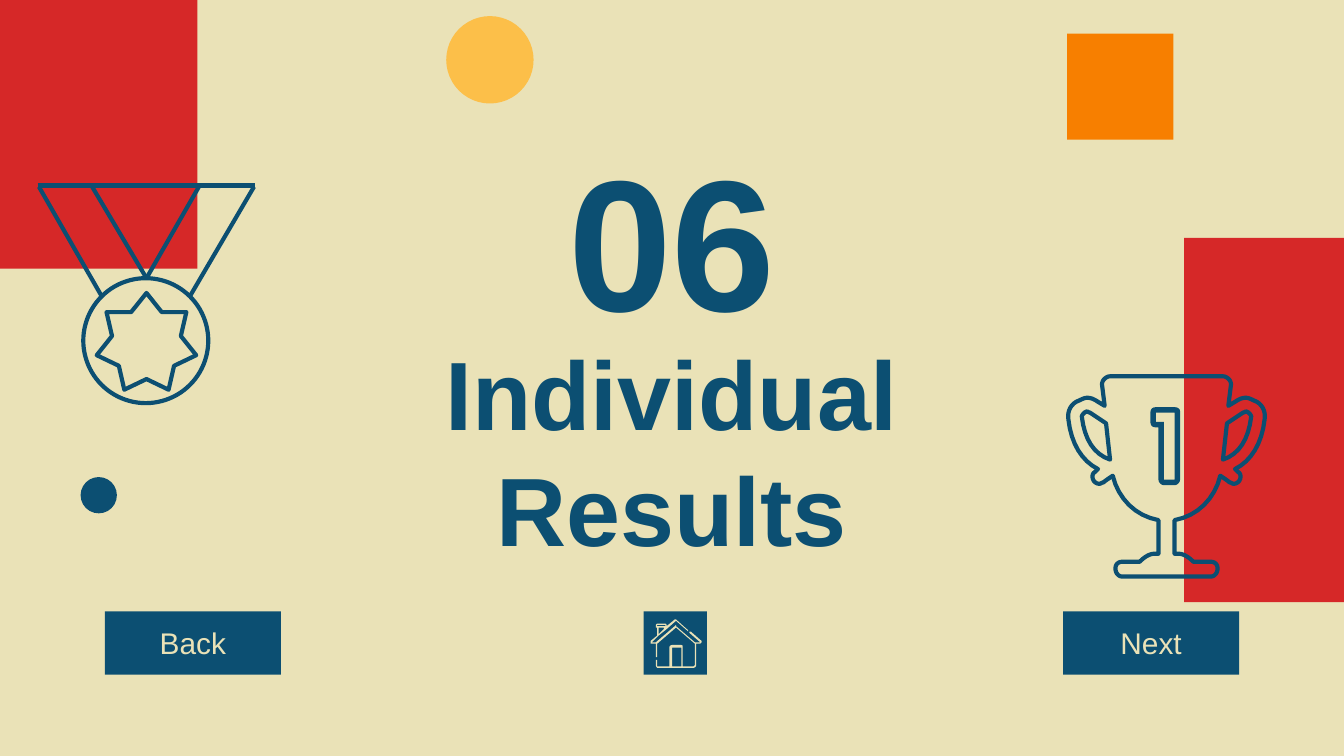
from pptx import Presentation
from pptx.dml.color import RGBColor
from pptx.enum.shapes import MSO_CONNECTOR, MSO_SHAPE
from pptx.enum.text import MSO_ANCHOR, PP_ALIGN
from pptx.oxml.ns import qn
from pptx.util import Inches, Pt
from lxml.etree import SubElement

NAVY, CREAM, RED, ORANGE, YELLOW = "0C4F72", "EAE2B7", "D62828", "F77F00", "FCBF49"
RECTANGLE, OVAL = MSO_SHAPE.RECTANGLE, MSO_SHAPE.OVAL

TITLES = [
    ("Individual Results", (2.53, 2.93, 4.94, 0.83), 52),
    ("06", (2.88, 1.15, 4.24, 1.22), 100),
]
DECORATIONS = [
    (RECTANGLE, (8.81, 1.77, 1.19, 2.71), RED),
    (RECTANGLE, (0, -0.03, 1.47, 2.03), RED),
    (RECTANGLE, (7.94, 0.25, 0.79, 0.79), ORANGE),
    (OVAL, (0.6, 3.55, 0.27, 0.27), NAVY),
    (OVAL, (3.32, 0.12, 0.65, 0.65), YELLOW),
]
BUTTONS = [("Back", 0.78, 1.31), ("", 4.79, 0.47), ("Next", 7.91, 1.31)]
BUTTON_TOP, BUTTON_HEIGHT = 4.55, 0.47

RIBBONS = [
    ((0.76, 2.21), (0.29, 1.39)),
    ((1.09, 2.07), (0.68, 1.38)),
    ((1.09, 2.07), (1.48, 1.39)),
    ((1.41, 2.21), (1.89, 1.39)),
    ((0.28, 1.38), (1.9, 1.38)),
]

TROPHY_CENTER = 8.68
TROPHY_SIDE = [
    (8.26, 2.8), (8.23, 2.8, 8.2, 2.83, 8.2, 2.86), (8.22, 3.02), (8.17, 2.99),
    (8.14, 2.97, 8.12, 2.96, 8.09, 2.96), (8.07, 2.96, 8.05, 2.97, 8.03, 2.98),
    (7.97, 3, 7.94, 3.06, 7.95, 3.12), (7.97, 3.3, 8.05, 3.43, 8.17, 3.49),
    (8.15, 3.51), (8.11, 3.53, 8.13, 3.6, 8.18, 3.6),
    (8.19, 3.6, 8.2, 3.59, 8.21, 3.59), (8.22, 3.58, 8.25, 3.56, 8.28, 3.54),
    (8.32, 3.71, 8.45, 3.84, 8.62, 3.87), (8.62, 4.12), (8.59, 4.12),
    (8.55, 4.12, 8.51, 4.15, 8.48, 4.18), (8.35, 4.18),
    (8.32, 4.18, 8.3, 4.2, 8.3, 4.23), (8.3, 4.26, 8.32, 4.29, 8.35, 4.29),
]
TROPHY_HANDLE = [
    (8.09, 3.06), (8.09, 3.06, 8.1, 3.07, 8.11, 3.07), (8.23, 3.15), (8.26, 3.42),
    (8.14, 3.38, 8.07, 3.27, 8.05, 3.1), (8.05, 3.09, 8.06, 3.08, 8.07, 3.07),
]
DIGIT_ONE = [
    [(8.74, 3.07), (8.74, 3.57), (8.66, 3.57), (8.66, 3.14), (8.6, 3.14), (8.6, 3.07)],
    [(8.6, 3.03), (8.57, 3.03, 8.56, 3.05, 8.56, 3.07), (8.56, 3.14),
     (8.56, 3.16, 8.57, 3.18, 8.6, 3.18), (8.62, 3.18), (8.62, 3.57),
     (8.62, 3.59, 8.64, 3.61, 8.66, 3.61), (8.74, 3.61),
     (8.76, 3.61, 8.78, 3.59, 8.78, 3.57), (8.78, 3.06),
     (8.78, 3.04, 8.76, 3.03, 8.74, 3.03)],
]
HOUSE = [
    [(4.95, 4.65), (4.95, 4.66), (4.89, 4.66), (4.89, 4.65)],
    [(4.94, 4.67), (4.94, 4.68), (4.9, 4.72), (4.9, 4.67)],
    [(5.07, 4.82), (5.07, 4.96), (5, 4.96), (5, 4.82)],
    [(5.03, 4.61), (5.02, 4.61), (4.96, 4.66), (4.96, 4.65), (4.95, 4.64),
     (4.89, 4.64), (4.88, 4.65), (4.88, 4.67), (4.89, 4.67), (4.89, 4.73),
     (4.84, 4.77), (4.84, 4.79), (4.88, 4.79), (4.88, 4.89), (4.89, 4.89),
     (4.89, 4.79), (5.03, 4.67), (5.17, 4.79), (5.17, 4.95), (5.16, 4.96),
     (5.08, 4.96), (5.08, 4.82), (5.08, 4.81, 5.08, 4.8, 5.07, 4.8), (5, 4.8),
     (4.99, 4.8, 4.98, 4.81, 4.98, 4.82), (4.98, 4.96), (4.89, 4.96), (4.89, 4.91),
     (4.88, 4.91), (4.88, 4.95), (4.88, 4.96, 4.89, 4.97, 4.89, 4.97), (5.16, 4.97),
     (5.17, 4.97, 5.18, 4.96, 5.18, 4.95), (5.18, 4.79), (5.21, 4.79), (5.22, 4.78),
     (5.22, 4.77), (5.14, 4.7), (5.13, 4.7), (5.13, 4.71), (5.21, 4.78), (5.17, 4.78),
     (5.03, 4.66), (5.03, 4.65), (5.02, 4.66), (4.88, 4.78), (4.85, 4.78),
     (4.9, 4.73), (4.95, 4.69), (5.03, 4.62), (5.11, 4.69), (5.12, 4.7), (5.12, 4.69)],
]


def color(value):
    return RGBColor.from_string(value)


def style(shape, fill=None, line=None):
    shape.shadow.inherit = False
    if fill:
        shape.fill.solid()
        shape.fill.fore_color.rgb = color(fill)
    else:
        shape.fill.background()
    if line:
        shape.line.color.rgb = color(line)
        shape.line.width = Pt(2.25)
    else:
        shape.line.fill.background()
    return shape


def add_shape(kind, box, fill=None, line=None):
    return style(slide.shapes.add_shape(kind, *map(Inches, box)), fill, line)


def write(shape, text, size, ink, bold=False):
    frame = shape.text_frame
    frame.word_wrap = True
    frame.vertical_anchor = MSO_ANCHOR.MIDDLE
    frame.margin_left = frame.margin_right = Inches(0.1)
    frame.margin_top = frame.margin_bottom = Inches(0.1)
    paragraph = frame.paragraphs[0]
    paragraph.text = text
    paragraph.alignment = PP_ALIGN.CENTER
    font = paragraph.font
    font.name, font.size, font.bold = "Arial", Pt(size), bold
    font.color.rgb = color(ink)


def trace(steps, pieces=8):
    points = [steps[0]]
    for step in steps[1:]:
        if len(step) == 2:
            points.append(step)
            continue
        controls = [points[-1], step[:2], step[2:4], step[4:]]
        for piece in range(1, pieces + 1):
            t = piece / pieces
            weights = ((1 - t) ** 3, 3 * t * (1 - t) ** 2, 3 * t * t * (1 - t), t ** 3)
            points.append(tuple(
                sum(weight * control[axis] for weight, control in zip(weights, controls))
                for axis in (0, 1)))
    return points


def mirror(points):
    return [(2 * TROPHY_CENTER - x, y) for x, y in reversed(points)]


def add_outline(contours, fill=None, line=None):
    contours = [[(Inches(x), Inches(y)) for x, y in contour] for contour in contours]
    builder = slide.shapes.build_freeform(*contours[0][0], scale=1.0)
    for index, contour in enumerate(contours):
        if index:
            builder.move_to(*contour[0])
        builder.add_line_segments(contour[1:], close=True)
    return style(builder.convert_to_shape(), fill, line)


def add_line(start, end):
    connector = slide.shapes.add_connector(
        MSO_CONNECTOR.STRAIGHT, *map(Inches, start + end))
    connector.line.color.rgb = color(NAVY)
    connector.line.width = Pt(2.25)
    SubElement(connector._element.spPr, qn("a:effectLst"))


presentation = Presentation()
presentation.slide_width, presentation.slide_height = Inches(10), Inches(10 * 9 / 16)
slide = presentation.slides.add_slide(presentation.slide_layouts[6])
slide.background.fill.solid()
slide.background.fill.fore_color.rgb = color(CREAM)

for text, box, size in TITLES:
    write(slide.shapes.add_textbox(*map(Inches, box)), text, size, NAVY, True)
for kind, box, fill in DECORATIONS:
    add_shape(kind, box, fill)

side, handle = trace(TROPHY_SIDE), trace(TROPHY_HANDLE)
add_outline([side + mirror(side), handle, mirror(handle)], line=NAVY)
add_outline([trace(contour) for contour in DIGIT_ONE], fill=NAVY)

star = add_shape(MSO_SHAPE.STAR_7_POINT, (0.72, 2.18, 0.74, 0.72), line=NAVY)
for index, value in enumerate((0.346, 1.026, 1.052)):
    star.adjustments[index] = value
add_shape(OVAL, (0.62, 2.07, 0.93, 0.93), line=NAVY)
for start, end in RIBBONS:
    add_line(start, end)

for label, left, width in BUTTONS:
    button = add_shape(RECTANGLE, (left, BUTTON_TOP, width, BUTTON_HEIGHT), NAVY)
    if label:
        write(button, label, 16, CREAM)
add_outline([trace(contour) for contour in HOUSE], fill=CREAM)

presentation.save("out.pptx")
